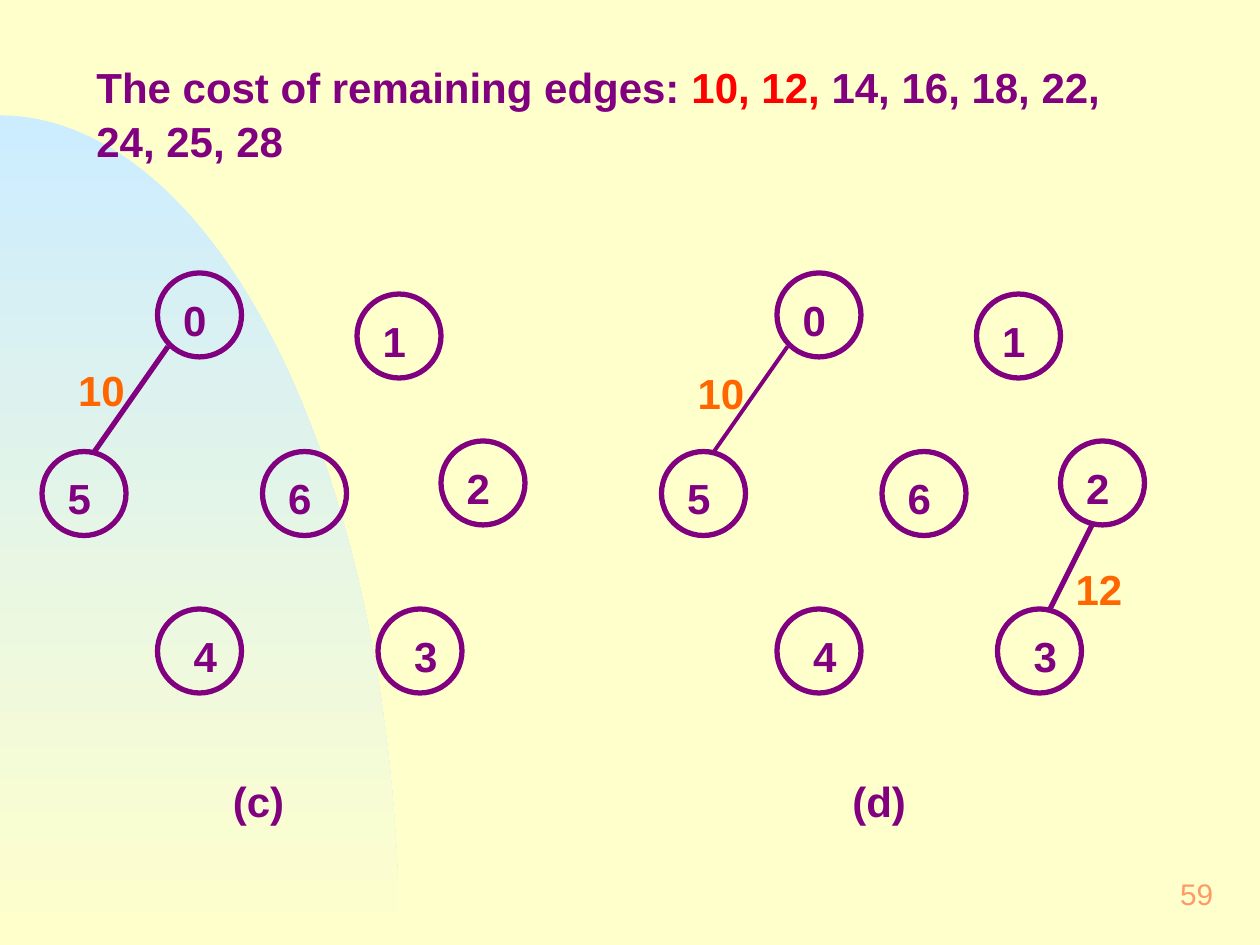
from math import cos, pi, sin

from lxml.etree import SubElement
from pptx import Presentation
from pptx.dml.color import RGBColor
from pptx.enum.shapes import MSO_CONNECTOR, MSO_SHAPE
from pptx.enum.text import MSO_ANCHOR, PP_ALIGN
from pptx.oxml.ns import qn
from pptx.util import Pt

COLORS = {
    "background": "FFFFCC",
    "hill": "CCECFF",
    "purple": "800080",
    "red": "FF0000",
    "orange": "FF6600",
    "page": "FF9966",
}
BOLD = {"name": "Arial", "size": Pt(24), "bold": True}
PLAIN = {"name": "Arial", "size": Pt(17), "bold": False}
WIDE_INSETS = (8.64, 4.32)
TEXT_INSETS = (7.2, 3.6)

DIAMETER = 48
NODES = {
    "1": (180, 12, 6),
    "0": (66, 0, 6),
    "5": (0, 102, 6),
    "2": (228, 96, 6),
    "6": (126, 102, 6),
    "4": (66, 192, 12),
    "3": (192, 192, 12),
}
EDGE_0_5 = (72, 42, 30, 102)
EDGE_2_3 = (246, 144, 222, 192)


def color(name):
    return RGBColor.from_string(COLORS[name])


def set_attributes(target, values):
    for name, value in values.items():
        setattr(target, name, value)


def add_text(slide, box, runs, insets=WIDE_INSETS, font=BOLD, frame_format=None, paragraph_format=None):
    shape = slide.shapes.add_textbox(*map(Pt, box))
    frame = shape.text_frame
    horizontal, vertical = map(Pt, insets)
    set_attributes(frame, {
        "word_wrap": True,
        "margin_left": horizontal,
        "margin_right": horizontal,
        "margin_top": vertical,
        "margin_bottom": vertical,
        **(frame_format or {}),
    })
    paragraph = frame.paragraphs[0]
    set_attributes(paragraph, {"line_spacing": 1.06, **(paragraph_format or {})})
    for text, color_name in runs:
        run = paragraph.add_run()
        run.text = text
        set_attributes(run.font, font)
        run.font.color.rgb = color(color_name)


def add_hill(slide, left, top, width, height):
    steps = 90
    arc = [
        (left + width * sin(step * pi / 2 / steps), top + height * (1 - cos(step * pi / 2 / steps)))
        for step in range(steps + 1)
    ]
    builder = slide.shapes.build_freeform(Pt(left), Pt(top))
    builder.add_line_segments([(Pt(x), Pt(y)) for x, y in arc[1:] + [(left, top + height)]])
    hill = builder.convert_to_shape()
    hill.shadow.inherit = False
    hill.line.fill.background()
    hill.fill.gradient()
    hill.fill.gradient_angle = 270
    for stop, name, position in zip(hill.fill.gradient_stops, ("hill", "background"), (0, 1)):
        stop.color.rgb = color(name)
        stop.position = position


def add_node(slide, left, top, label, label_offset):
    circle = slide.shapes.add_shape(MSO_SHAPE.OVAL, Pt(left), Pt(top), Pt(DIAMETER), Pt(DIAMETER))
    circle.shadow.inherit = False
    circle.fill.background()
    circle.line.color.rgb = color("purple")
    circle.line.width = Pt(3)
    add_text(slide, (left + label_offset, top + 6, 36, 37.5), [(label, "purple")])


def add_edge(slide, left, top, ends, width):
    start_x, start_y, end_x, end_y = ends
    edge = slide.shapes.add_connector(
        MSO_CONNECTOR.STRAIGHT,
        Pt(left + start_x), Pt(top + start_y), Pt(left + end_x), Pt(top + end_y),
    )
    edge.line.color.rgb = color("purple")
    edge.line.width = Pt(width)
    SubElement(edge._element.spPr, qn("a:effectLst"))


def add_graph(slide, left, top, caption, edges):
    for label, (x, y, label_offset) in NODES.items():
        add_node(slide, left + x, top + y, label, label_offset)
    for ends, width, weight, (x, y) in edges:
        add_edge(slide, left, top, ends, width)
        add_text(slide, (left + x, top + y, 54, 37.5), [(weight, "orange")])
    add_text(slide, (left + 102, top + 282, 78, 36), [(caption, "purple")], TEXT_INSETS)


def add_title(slide, box):
    add_text(slide, box, [
        ("The cost of remaining edges: ", "purple"),
        ("10, 12,", "red"),
        (" 14, 16, 18, 22, 24, 25, 28", "purple"),
    ], TEXT_INSETS)


def add_page_number(slide, box):
    add_text(
        slide, box, [("59", "page")], font=PLAIN,
        frame_format={"word_wrap": False, "vertical_anchor": MSO_ANCHOR.MIDDLE},
        paragraph_format={"alignment": PP_ALIGN.RIGHT},
    )


def main():
    presentation = Presentation()
    presentation.slide_width = Pt(720)
    presentation.slide_height = Pt(540)
    slide = presentation.slides.add_slide(presentation.slide_layouts[6])
    slide.background.fill.solid()
    slide.background.fill.fore_color.rgb = color("background")

    add_hill(slide, 0, 66, 228, 474)
    add_page_number(slide, (552, 492, 150, 36))
    add_graph(slide, 24, 156, "(c)", [(EDGE_0_5, 3, "10", (12, 46.5))])
    add_graph(slide, 378, 156, "(d)", [
        (EDGE_2_3, 3, "12", (228, 160)),
        (EDGE_0_5, 2.25, "10", (12, 48)),
    ])
    add_title(slide, (48, 30, 588, 65))
    presentation.save("out.pptx")


if __name__ == "__main__":
    main()
